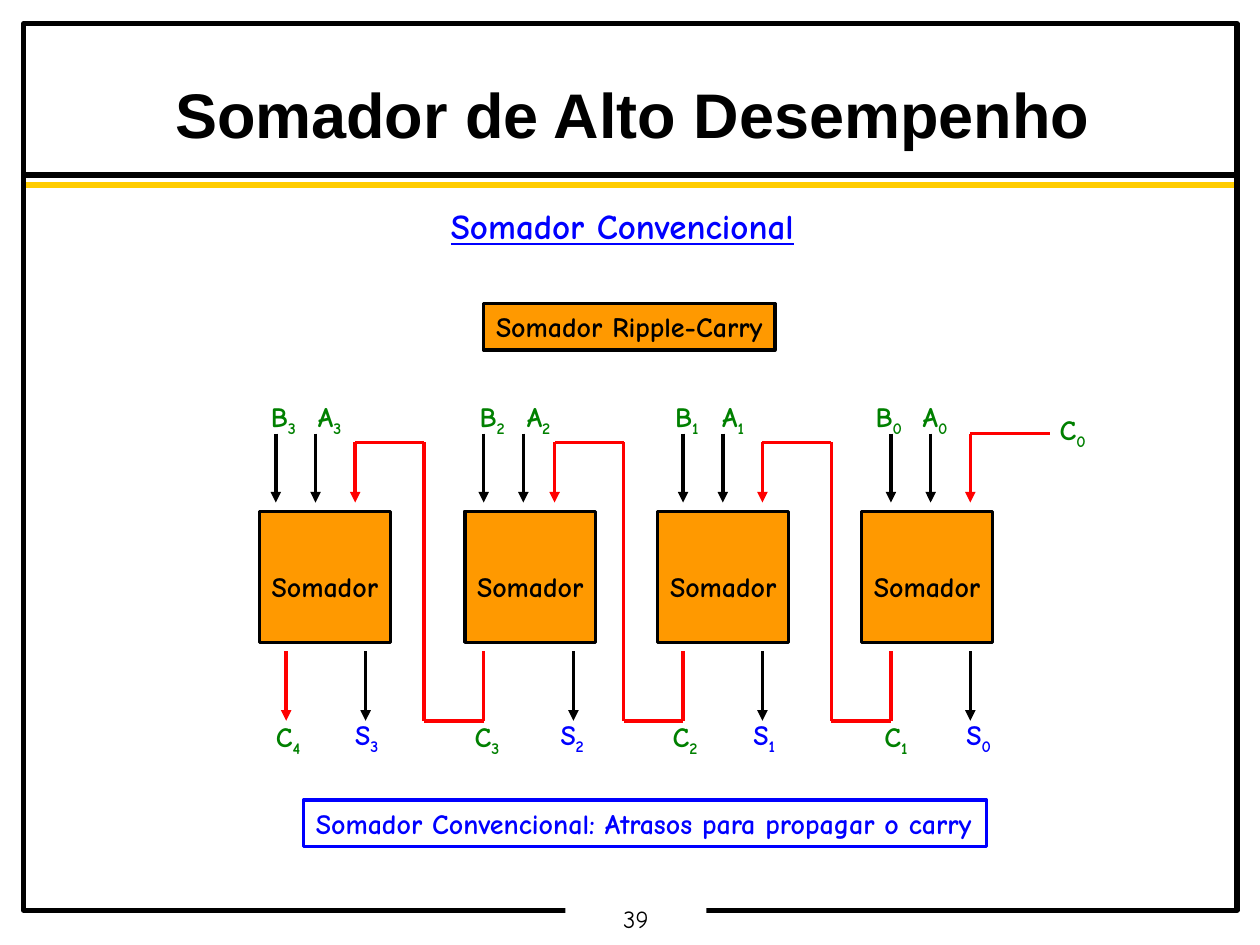
from lxml.etree import SubElement
from pptx import Presentation
from pptx.dml.color import RGBColor
from pptx.enum.shapes import MSO_CONNECTOR, MSO_SHAPE
from pptx.enum.text import MSO_ANCHOR, PP_ALIGN
from pptx.oxml.ns import qn
from pptx.util import Cm, Pt

COLORS = {
    "black": "000000", "white": "FFFFFF", "yellow": "FFCC00", "orange": "FF9900",
    "red": "FF0000", "green": "008000", "blue": "0000FF",
}

presentation = Presentation()
presentation.slide_width = Cm(25.4)
presentation.slide_height = Cm(19.05)
slide = presentation.slides.add_slide(presentation.slide_layouts[6])


def add_box(left, top, width, height, text="", subscript="", color="black", size=16,
            bold=True, underline=None, font="Comic Neue", centered=False,
            fill=None, outline=None, outline_width=2):
    """Add a rectangle or, without fill and outline, a text box."""
    area = Cm(left), Cm(top), Cm(width), Cm(height)
    if fill or outline:
        shape = slide.shapes.add_shape(MSO_SHAPE.RECTANGLE, *area)
        shape.shadow.inherit = False
        if fill:
            shape.fill.solid()
            shape.fill.fore_color.rgb = RGBColor.from_string(COLORS[fill])
        else:
            shape.fill.background()
        if outline:
            shape.line.color.rgb = RGBColor.from_string(COLORS[outline])
            shape.line.width = Pt(outline_width)
        else:
            shape.line.fill.background()
    else:
        shape = slide.shapes.add_textbox(*area)
    if text:
        frame = shape.text_frame
        frame.word_wrap = True
        frame.vertical_anchor = MSO_ANCHOR.TOP
        frame.margin_left = Cm(0 if centered else 0.25)
        frame.margin_right = 0
        frame.margin_top = frame.margin_bottom = Cm(0.13)
        paragraph = frame.paragraphs[0]
        paragraph.alignment = PP_ALIGN.CENTER if centered else PP_ALIGN.LEFT
        paragraph.font.name = font
        paragraph.font.size = Pt(size)
        paragraph.font.bold = bold
        paragraph.font.underline = underline
        paragraph.font.color.rgb = RGBColor.from_string(COLORS[color])
        paragraph.add_run().text = text
        if subscript:
            run = paragraph.add_run()
            run.text = subscript
            run._r.get_or_add_rPr().set("baseline", "-25000")
    return shape


def add_path(points, color="black", width=2, arrow=True):
    """Join the points with straight lines, the last one with an arrowhead."""
    for start, end in zip(points, points[1:]):
        line = slide.shapes.add_connector(
            MSO_CONNECTOR.STRAIGHT, *(Cm(value) for value in start + end))
        line.line.color.rgb = RGBColor.from_string(COLORS[color])
        line.line.width = Pt(width)
        properties = line._element.spPr
        if arrow and end == points[-1]:
            SubElement(properties.find(qn("a:ln")), qn("a:tailEnd"), type="triangle")
        SubElement(properties, qn("a:effectLst"))


# Frame, title and page number
add_path([(0.5, 3.53), (25, 3.53)], "black", 3, arrow=False)
add_path([(0.5, 3.73), (25, 3.73)], "yellow", 3, arrow=False)
add_box(0.48, 0.48, 24.46, 17.87, outline="black", outline_width=3)
add_box(11.4, 18.1, 2.84, 0.7, "39", size=14, bold=False, centered=True, fill="white")
add_box(0.5, 1.4, 24.5, 1.6, "Somador de Alto Desempenho", size=36, font="Arial",
        centered=True)
add_box(8.84, 4, 7.44, 1.1, "Somador Convencional", color="blue", size=20,
        underline=True)
add_box(9.75, 6.12, 5.87, 0.94, "Somador Ripple-Carry", fill="orange", outline="black")
add_box(6.12, 16.13, 13.77, 0.94, "Somador Convencional: Atrasos para propagar o carry",
        color="blue", outline="blue")

# Heights of the signal lines
input_top, input_end = 8.74, 10.13
output_top, output_end = 13.13, 14.53
carry_top = 8.92

# Per adder: bit, box, B line, carry in, carry out, S line, and labels of B, C and S
adders = [
    (3, 5.23, 5.56, 7.16, 5.77, 7.37, 5.21, 5.31, 6.91),
    (2, 9.37, 9.75, 11.18, 9.75, 11.56, 9.42, 9.32, 11.05),
    (1, 13.26, 13.77, 15.37, 13.77, 15.37, 13.36, 13.31, 14.94),
    (0, 17.37, 17.96, 19.56, 17.96, 19.56, 17.4, 17.58, 19.23),
]
previous_carry_in = None
for bit, box, b_line, carry_in, carry_out, s_line, b_label, c_label, s_label in adders:
    adder = add_box(box, 10.31, 2.64, 2.64, "Somador", centered=True,
                    fill="orange", outline="black")
    adder.text_frame.vertical_anchor = MSO_ANCHOR.MIDDLE
    adder.text_frame.margin_top = Cm(0.5)

    for x in (b_line, b_line + 0.8):
        add_path([(x, input_top), (x, input_end)])
    add_path([(s_line, output_top), (s_line, output_end)])

    carry = [(carry_out, output_top), (carry_out, output_end)]
    if previous_carry_in is not None:
        rail = carry_out - 1.2
        carry += [(rail, output_end), (rail, carry_top),
                  (previous_carry_in, carry_top), (previous_carry_in, input_end)]
    add_path(carry, "red")
    previous_carry_in = carry_in

    for letter, index, left, top, color in (
        ("B", bit, b_label, 7.92, "green"),
        ("A", bit, b_label + 0.95, 7.92, "green"),
        ("C", bit + 1, c_label, 14.38, "green"),
        ("S", bit, s_label, 14.33, "blue"),
    ):
        add_box(left, top, 1, 1.04, letter, str(index), color)

# Carry into the first adder
add_path([(21.16, input_top), (previous_carry_in, input_top),
          (previous_carry_in, input_end)], "red")
add_box(21.11, 8.18, 1, 1.04, "C", "0", "green")

presentation.save("out.pptx")
